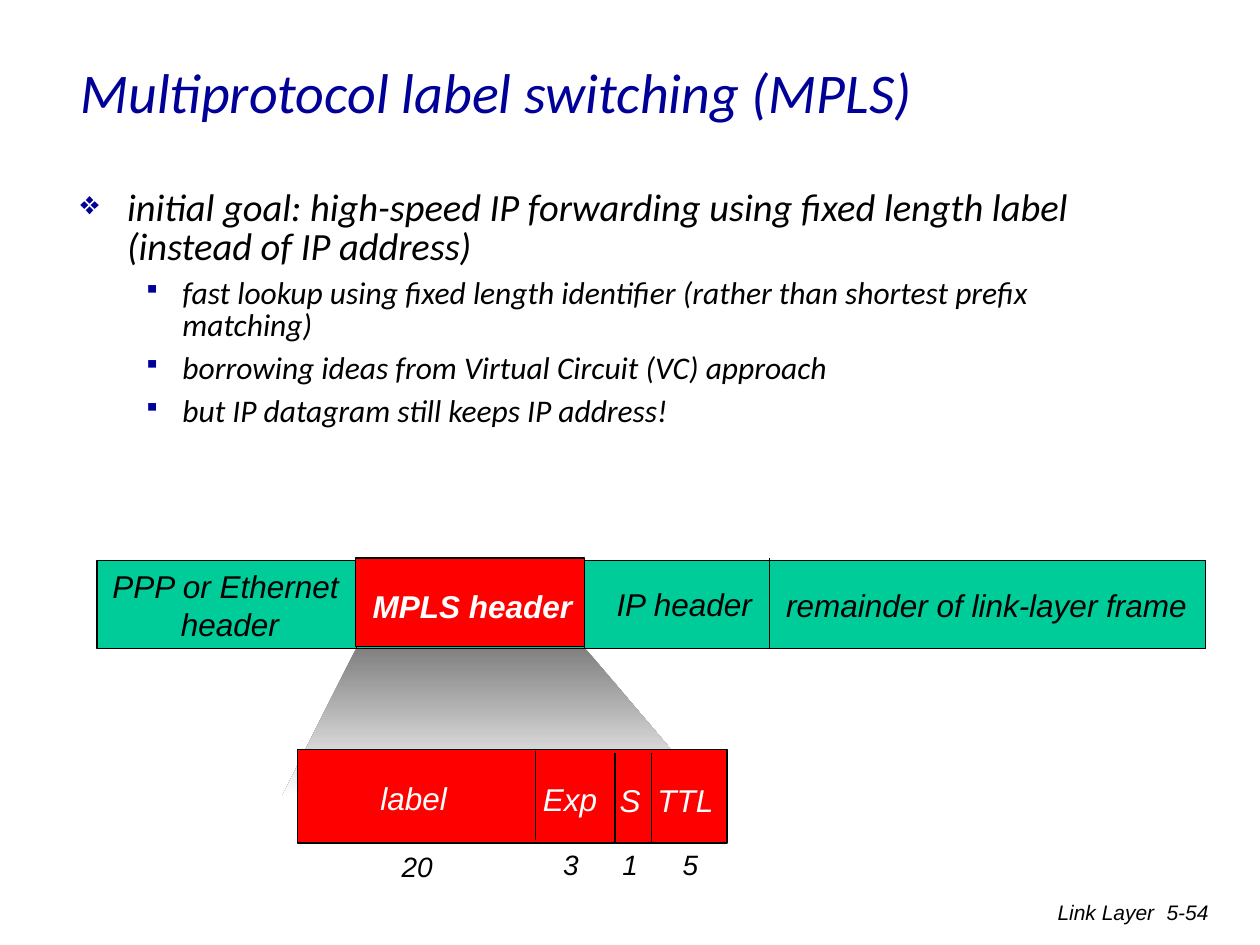
from lxml import etree
from pptx import Presentation
from pptx.dml.color import RGBColor
from pptx.enum.shapes import MSO_CONNECTOR, MSO_SHAPE
from pptx.enum.text import MSO_ANCHOR, MSO_AUTO_SIZE, PP_ALIGN
from pptx.oxml.ns import qn
from pptx.util import Inches, Pt

LEFT, CENTER, RIGHT = PP_ALIGN.LEFT, PP_ALIGN.CENTER, PP_ALIGN.RIGHT
TOP, MIDDLE = MSO_ANCHOR.TOP, MSO_ANCHOR.MIDDLE
FIXED_SIZE = MSO_AUTO_SIZE.NONE
RECTANGLE, STRAIGHT = MSO_SHAPE.RECTANGLE, MSO_CONNECTOR.STRAIGHT

BLACK = RGBColor(0x00, 0x00, 0x00)
WHITE = RGBColor(0xFF, 0xFF, 0xFF)
NAVY = RGBColor(0x00, 0x00, 0x99)
GREEN = RGBColor(0x00, 0xCC, 0x99)
RED = RGBColor(0xFF, 0x00, 0x00)
GRAY = RGBColor(0x80, 0x80, 0x80)

HEADING_FONT, LABEL_FONT = "Calibri", "Arial"
SLIDE_WIDTH, SLIDE_HEIGHT = Inches(10), Inches(7.5)
COLUMN = SLIDE_WIDTH / 100
ROW = SLIDE_HEIGHT / 75
LINE_WIDTH = Pt(0.75)

GOAL = ("initial goal: high-speed IP forwarding using fixed length label "
        "(instead of IP address)")
GOAL_DETAILS = [
    "fast lookup using fixed length identifier (rather than shortest prefix matching)",
    "borrowing ideas from Virtual Circuit (VC) approach",
    "but IP datagram still keeps IP address!",
]
FRAME_LABELS = [
    (["PPP or Ethernet ", "header"], (7.9, 44.5, 20.7, 7), CENTER),
    (["IP header"], (47.9, 45.9, 12.8, 4), CENTER),
    (["remainder of link-layer frame"], (61.4, 46, 33.8, 4), LEFT),
]
HEADER_FIELDS = [
    ("label", (29.2, 61.3, 7.3, 4), "20", (30.9, 66.9, 4.4, 3.7)),
    ("Exp", (42.1, 61.4, 6.3, 4), "3", (43.7, 66.8, 3.2, 3.7)),
    ("S", (48.2, 61.5, 3.6, 4), "1", (48.4, 66.8, 3.2, 3.7)),
    ("TTL", (51.2, 61.5, 6.4, 4), "5", (53.2, 66.8, 3.2, 3.7)),
]
FRAME_DIVIDERS = [(28.3, 44.4, 51.5), (46.4, 44.3, 51.4), (61.1, 44.3, 51.5)]
FIELD_DIVIDERS = [(42.5, 59.6, 66.7), (48.8, 59.8, 67), (51.7, 59.8, 66.9)]


def grid_point(column, row):
    return round(column * COLUMN), round(row * ROW)


def grid_box(box):
    left, top, width, height = box
    return grid_point(left, top) + grid_point(width, height)


def add_run(paragraph, text, size, font, color, bold=False):
    run = paragraph.add_run()
    run.text = text
    run.font.name = font
    run.font.size = Pt(size)
    run.font.italic = True
    run.font.bold = bold
    run.font.color.rgb = color


def add_text_area(slide, box, anchor=TOP):
    frame = slide.shapes.add_textbox(*grid_box(box)).text_frame
    frame.word_wrap = True
    frame.vertical_anchor = anchor
    return frame


def add_label(slide, lines, box, size=18, color=BLACK, align=LEFT, bold=False, fill=None):
    shape = slide.shapes.add_textbox(*grid_box(box))
    if fill is not None:
        shape.fill.solid()
        shape.fill.fore_color.rgb = fill
    frame = shape.text_frame
    frame.word_wrap = False
    frame.auto_size = FIXED_SIZE
    if align == LEFT:
        frame.margin_right = 0
    for index, line in enumerate(lines):
        paragraph = frame.add_paragraph() if index else frame.paragraphs[0]
        paragraph.alignment = align
        add_run(paragraph, line, size, LABEL_FONT, color, bold)


def add_bullet(paragraph, character, margin, hanging, size_percent):
    properties = paragraph._p.get_or_add_pPr()
    properties.set("marL", str(Inches(margin)))
    properties.set("indent", str(-Inches(hanging)))
    bullet_color = etree.SubElement(properties, qn("a:buClr"))
    etree.SubElement(bullet_color, qn("a:srgbClr"), val=str(NAVY))
    etree.SubElement(properties, qn("a:buSzPct"), val=str(size_percent * 1000))
    etree.SubElement(properties, qn("a:buChar"), char=character)
    paragraph.line_spacing = 0.85


def add_rectangle(slide, box, color):
    shape = slide.shapes.add_shape(RECTANGLE, *grid_box(box))
    shape.shadow.inherit = False
    shape.fill.solid()
    shape.fill.fore_color.rgb = color
    shape.line.color.rgb = BLACK
    shape.line.width = LINE_WIDTH


def add_dividers(slide, dividers):
    for column, top, bottom in dividers:
        line = slide.shapes.add_connector(
            STRAIGHT, *grid_point(column, top), *grid_point(column, bottom))
        line.line.color.rgb = BLACK
        line.line.width = LINE_WIDTH
        etree.SubElement(line._element.spPr, qn("a:effectLst"))


def add_zoom_beam(slide, corners):
    start, *others = [grid_point(*corner) for corner in corners]
    builder = slide.shapes.build_freeform(*start)
    builder.add_line_segments(others, close=True)
    shape = builder.convert_to_shape()
    shape.shadow.inherit = False
    shape.line.fill.background()
    shape.fill.gradient()
    shape.fill.gradient_angle = 270
    for stop, color, position in zip(shape.fill.gradient_stops, (GRAY, WHITE), (0, 1)):
        stop.color.rgb = color
        stop.position = position


def add_body(slide):
    frame = add_text_area(slide, (5.4, 14.6, 85, 50.8))
    paragraph = frame.paragraphs[0]
    add_bullet(paragraph, "❖", 0.37, 0.37, 85)
    add_run(paragraph, GOAL, 22, HEADING_FONT, BLACK)
    for detail in GOAL_DETAILS:
        paragraph = frame.add_paragraph()
        paragraph.level = 1
        add_bullet(paragraph, "▪", 0.81, 0.31, 75)
        paragraph.space_before = Pt(6)
        add_run(paragraph, detail, 18, HEADING_FONT, BLACK)


def add_footer(slide):
    for text, box in (("Link Layer", (60.9, 70.9, 31.7, 5)), ("5-54", (89.5, 70.9, 7.4, 5))):
        paragraph = add_text_area(slide, box).paragraphs[0]
        paragraph.alignment = RIGHT
        add_run(paragraph, text, 12, LABEL_FONT, BLACK)


def add_link_frame(slide):
    add_rectangle(slide, (7.7, 44.5, 88, 7), GREEN)
    for lines, box, align in FRAME_LABELS:
        add_label(slide, lines, box, align=align)
    add_dividers(slide, FRAME_DIVIDERS)
    add_rectangle(slide, (28.2, 44.3, 18.2, 7), RED)
    add_label(slide, ["MPLS header"], (28.3, 46.1, 18.4, 4), color=WHITE, align=CENTER, bold=True)


def add_header_fields(slide):
    add_rectangle(slide, (23.6, 59.5, 34.1, 7.4), RED)
    for name, name_box, bits, bits_box in HEADER_FIELDS:
        add_label(slide, [name], name_box, color=WHITE, fill=RED)
        add_label(slide, [bits], bits_box, size=16)
    add_dividers(slide, FIELD_DIVIDERS)


def main():
    presentation = Presentation()
    presentation.slide_width = SLIDE_WIDTH
    presentation.slide_height = SLIDE_HEIGHT
    slide = presentation.slides.add_slide(presentation.slide_layouts[6])
    add_footer(slide)
    title = add_text_area(slide, (5.4, 2.1, 85, 10.3), MIDDLE)
    add_run(title.paragraphs[0], "Multiprotocol label switching (MPLS)", 32, HEADING_FONT, NAVY)
    add_body(slide)
    add_zoom_beam(slide, [(28.3, 51.4), (22.4, 63.2), (56.4, 63.2), (46.4, 51.4)])
    add_link_frame(slide)
    add_header_fields(slide)
    presentation.save("out.pptx")


if __name__ == "__main__":
    main()
